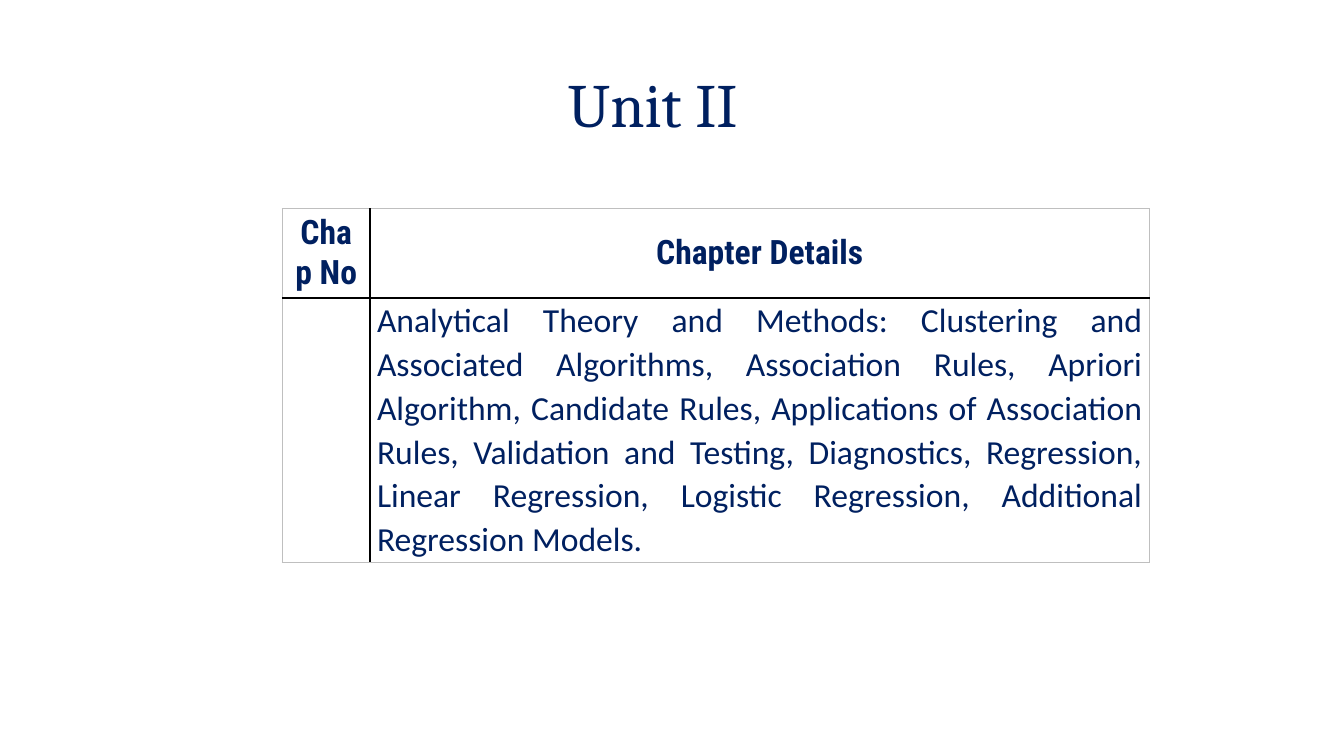
from typing import NamedTuple

from lxml.etree import SubElement
from pptx import Presentation
from pptx.dml.color import RGBColor
from pptx.enum.text import MSO_ANCHOR as Anchor, PP_ALIGN as Align
from pptx.oxml.ns import qn
from pptx.util import Inches, Pt

NAVY = RGBColor(0x00, 0x20, 0x60)
BLACK = RGBColor(0x00, 0x00, 0x00)
GREY = RGBColor(0xBF, 0xBF, 0xBF)

COL_WIDTHS = (0.87, 7.73)
ROW_HEIGHTS = (0.88, 2.62)
HEADERS = ("Chap No", "Chapter Details")
DETAILS = (
    "Analytical Theory and Methods: Clustering and Associated Algorithms, "
    "Association Rules, Apriori Algorithm, Candidate Rules, Applications of "
    "Association Rules, Validation and Testing, Diagnostics, Regression, "
    "Linear Regression, Logistic Regression, Additional Regression Models."
)


class Border(NamedTuple):
    color: RGBColor
    width: float


OUTER = Border(GREY, 0.5)
COLUMN_RULE = Border(BLACK, 1)
HEADER_RULE = Border(BLACK, 1.5)


def write(tf, text: str, *, font: str, size: float = 24, bold: bool = False,
          align=Align.CENTER, spacing: float = 1.0) -> None:
    p = tf.paragraphs[0]
    p.alignment = align
    p.line_spacing = spacing
    r = p.add_run()
    r.text = text
    r.font.name = font
    r.font.size = Pt(size)
    r.font.bold = bold
    r.font.color.rgb = NAVY


def set_borders(cell, **sides: Border) -> None:
    """Draw the cell's sides, given in the order L, R, T, B."""
    tc_pr = cell._tc.get_or_add_tcPr()
    for i, (side, border) in enumerate(sides.items()):
        ln = SubElement(tc_pr, qn(f"a:ln{side}"), w=str(Pt(border.width)))
        fill = SubElement(ln, qn("a:solidFill"))
        SubElement(fill, qn("a:srgbClr"), val=str(border.color))
        tc_pr.insert(i, ln)


def add_chapter_table(s) -> None:
    frame = s.shapes.add_table(2, 2, Inches(2.8), Inches(2.07),
                               Inches(sum(COL_WIDTHS)), Inches(sum(ROW_HEIGHTS)))
    table = frame.table
    table.first_row = table.horz_banding = False
    for col, width in zip(table.columns, COL_WIDTHS):
        col.width = Inches(width)
    for row, height in zip(table.rows, ROW_HEIGHTS):
        row.height = Inches(height)

    for i in range(2):
        for j in range(2):
            cell = table.cell(i, j)
            cell.fill.background()
            set_borders(cell,
                        L=COLUMN_RULE if j else OUTER,
                        R=OUTER if j else COLUMN_RULE,
                        T=HEADER_RULE if i else OUTER,
                        B=OUTER if i else HEADER_RULE)

    for j, header in enumerate(HEADERS):
        cell = table.cell(0, j)
        cell.vertical_anchor = Anchor.MIDDLE
        write(cell.text_frame, header, font="Roboto Condensed", bold=True)

    cell = table.cell(1, 1)
    cell.margin_left = cell.margin_right = Inches(0.07)
    cell.margin_top = cell.margin_bottom = 0
    write(cell.text_frame, DETAILS, font="Calibri", align=Align.JUSTIFY, spacing=1.07)


def main() -> None:
    prs = Presentation()
    prs.slide_width, prs.slide_height = Inches(13.33), Inches(7.5)
    s = prs.slides.add_slide(prs.slide_layouts[5])

    title = s.shapes.title
    title.left, title.top = Inches(4.27), Inches(0.44)
    title.width, title.height = Inches(4.41), Inches(1.25)
    title.text_frame.vertical_anchor = Anchor.MIDDLE
    write(title.text_frame, "Unit II", font="Cambria", size=44, spacing=0.9)

    add_chapter_table(s)
    prs.save("out.pptx")


if __name__ == "__main__":
    main()
